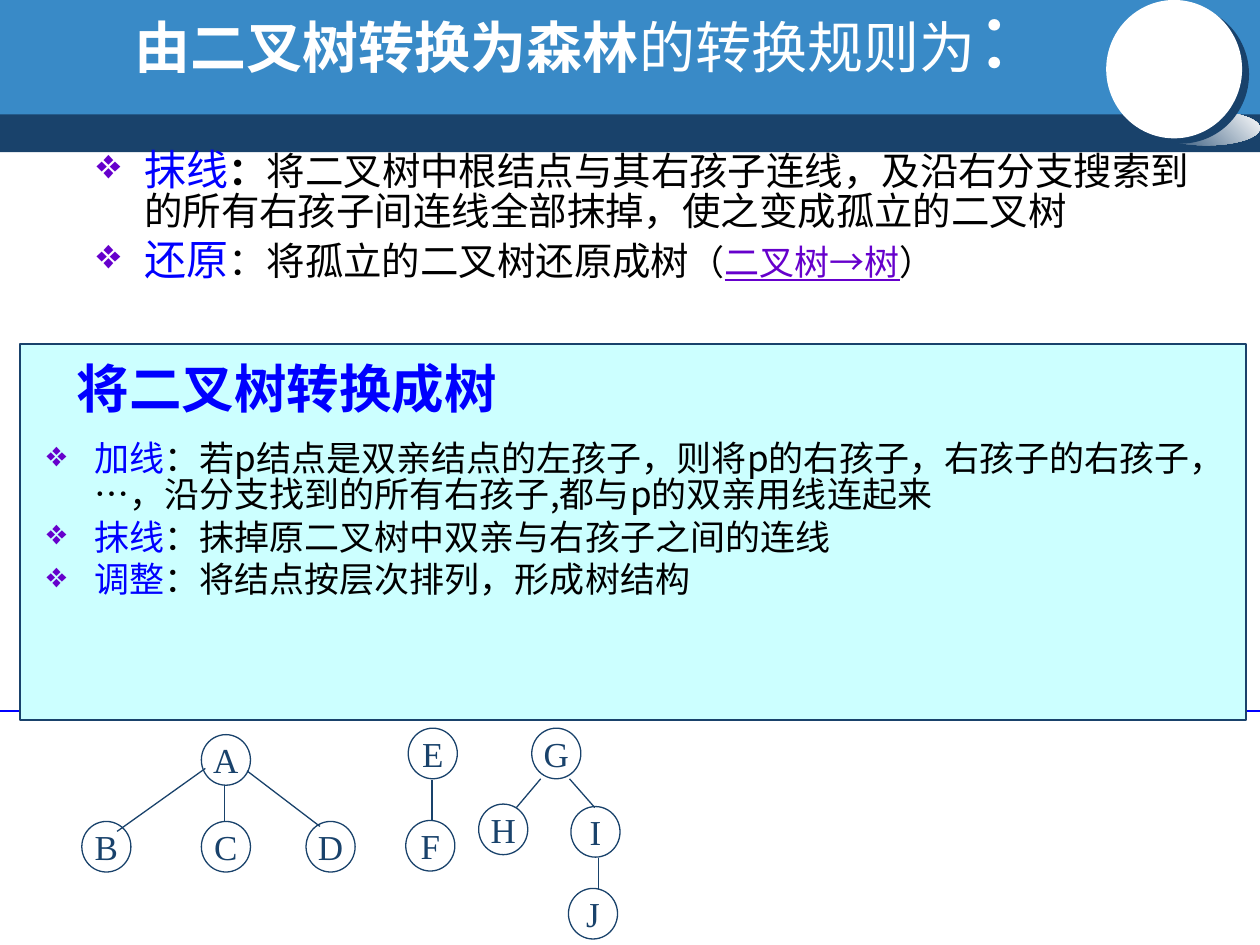
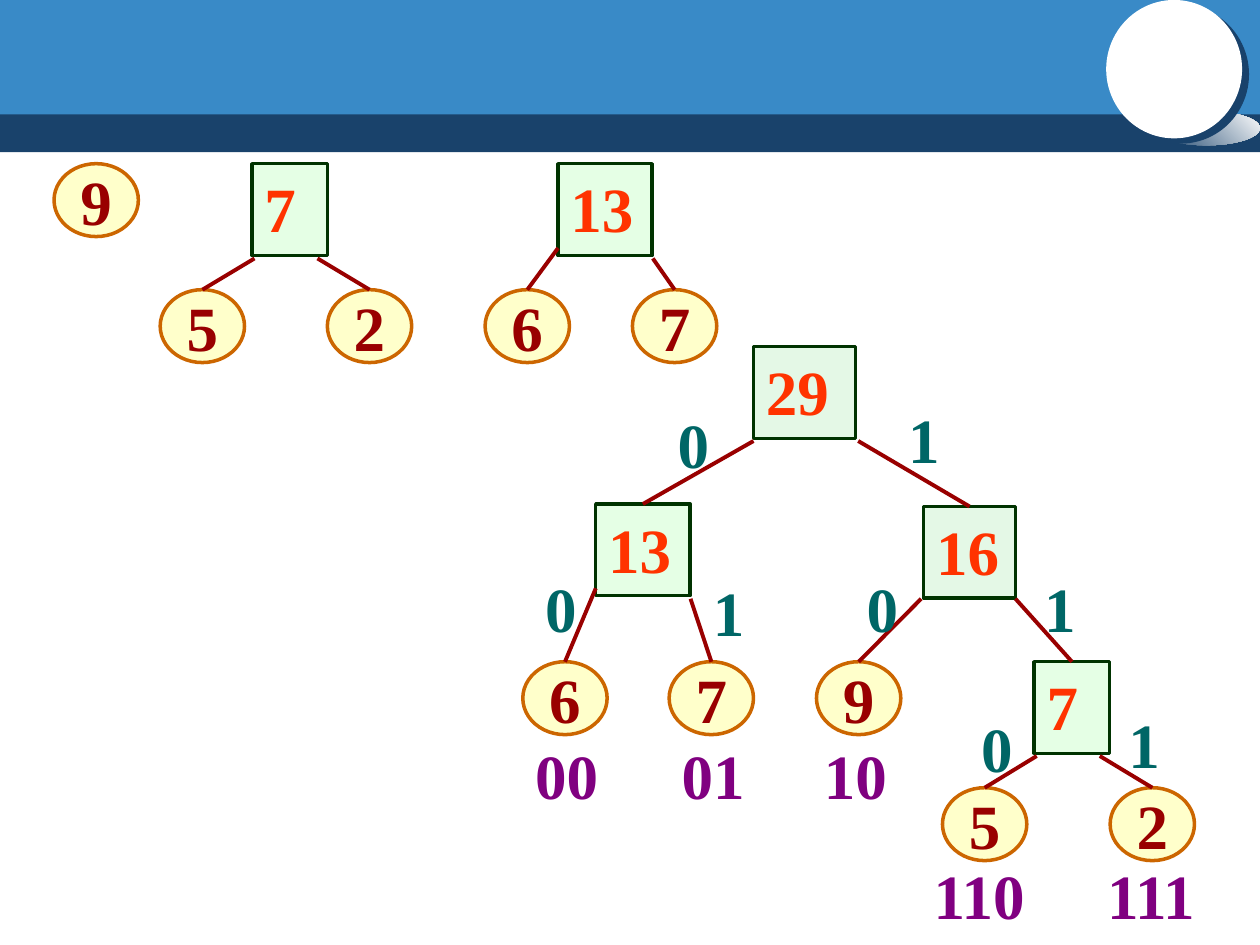
from dataclasses import dataclass

import lxml.etree
import pptx
import pptx.dml.color
import pptx.enum.shapes
import pptx.enum.text
import pptx.oxml.ns
import pptx.util

Cm, Pt = pptx.util.Cm, pptx.util.Pt
RGB = pptx.dml.color.RGBColor.from_string
qn = pptx.oxml.ns.qn
SHAPE = pptx.enum.shapes.MSO_SHAPE
STRAIGHT = pptx.enum.shapes.MSO_CONNECTOR.STRAIGHT
ANCHOR = pptx.enum.text.MSO_ANCHOR
ALIGN = pptx.enum.text.PP_ALIGN


@dataclass(frozen=True)
class Theme:
    navy: str = "19426B"
    band: str = "398AC7"
    white: str = "FFFFFF"
    black: str = "000000"
    blue: str = "0000FF"
    purple: str = "6600CC"
    panel: str = "CCFFFF"
    leaf_fill: str = "FFFF99"
    leaf_line: str = "CC6600"
    dark_red: str = "990000"
    inner_fill: str = "CCFFCC"
    sum_fill: str = "CAF2CE"
    inner_line: str = "003300"
    inner_text: str = "FF3300"
    bit: str = "006666"
    code: str = "800080"
    serif: str = "Times New Roman"
    cjk: str = "Noto Sans CJK SC"
    title_size: int = 32
    heading_size: int = 30
    node_size: int = 20
    number_size: int = 36


theme = Theme()


def add_figure(page, preset, place, fill=None, line=None, weight=0.75, alpha=None):
    figure = page.shapes.add_shape(preset, *map(Cm, place))
    figure.shadow.inherit = False
    if fill:
        figure.fill.solid()
        figure.fill.fore_color.rgb = RGB(fill)
    else:
        figure.fill.background()
    if alpha:
        color = figure._element.spPr.find(qn("a:solidFill"))[0]
        lxml.etree.SubElement(color, qn("a:alpha"), val=str(alpha * 1000))
    if line:
        figure.line.color.rgb = RGB(line)
        figure.line.width = Pt(weight)
    else:
        figure.line.fill.background()
    return figure


def add_edge(page, start, end, color, weight):
    edge = page.shapes.add_connector(STRAIGHT, *map(Cm, (*start, *end)))
    edge.line.color.rgb = RGB(color)
    edge.line.width = Pt(weight)
    lxml.etree.SubElement(edge._element.spPr, qn("a:effectLst"))
    return edge


deck = pptx.Presentation()
deck.slide_width, deck.slide_height = Cm(25.4), Cm(19.05)
master = deck.slide_master
for root in (deck.element, master.element):
    for east_asian in root.iter(qn("a:ea")):
        east_asian.set("typeface", theme.cjk)

rules_page = deck.slides.add_slide(deck.slide_layouts[5])
huffman_page = deck.slides.add_slide(deck.slide_layouts[6])

# Shared header: drawn once, then moved to the slide master
lower_band = add_figure(rules_page, SHAPE.RECTANGLE, (0, 2.21, 25.4, 0.86), theme.navy)
upper_band = add_figure(rules_page, SHAPE.RECTANGLE, (0, 0, 25.4, 2.31), theme.band)
glow = add_figure(rules_page, SHAPE.OVAL, (23.24, 2.24, 2.16, 0.69))
glow.fill.gradient()
glow.fill.gradient_angle = 45
for stop, color in zip(glow.fill.gradient_stops, (theme.navy, theme.white)):
    stop.color.rgb = RGB(color)
disc = add_figure(rules_page, SHAPE.OVAL, (22.3, 0, 2.74, 2.79), theme.white)
shadow = lxml.etree.SubElement(
    disc._element.spPr.find(qn("a:effectLst")), qn("a:outerShdw"),
    dist=str(Pt(5)), dir=str(37 * 60000), algn="ctr", rotWithShape="0")
lxml.etree.SubElement(shadow, qn("a:srgbClr"), val=theme.navy)
for order, part in enumerate((lower_band, upper_band, glow, disc)):
    part._element.nvSpPr.cNvPr.id = 100 + order
    master.shapes._spTree.insert(2 + order, part._element)

# Slide 1: title
title = rules_page.shapes.title
title.left, title.top, title.width, title.height = map(Cm, (2.46, -0.08, 19.02, 2.11))
title.text_frame.auto_size = pptx.enum.text.MSO_AUTO_SIZE.NONE
title.text_frame.word_wrap = False
title.text_frame.vertical_anchor = ANCHOR.TOP
para = title.text_frame.paragraphs[0]
para.alignment = ALIGN.LEFT
para.line_spacing = 0.9
para.font.name = theme.serif
para.font.color.rgb = RGB(theme.white)
for text, size, bold in (("由二叉树转换为森林", theme.title_size, True),
                         ("的转换规则为", theme.title_size, False), ("：", 44, False)):
    span = para.add_run()
    span.text = text
    span.font.size, span.font.bold = Pt(size), bold

# Slide 1: rule line and panel
add_edge(rules_page, (0, 14.33), (25.4, 14.33), theme.blue, 1)
add_figure(rules_page, SHAPE.RECTANGLE, (0.41, 6.93, 24.71, 7.59), theme.panel, theme.navy, 1)
heading = rules_page.shapes.add_textbox(*map(Cm, (0.3, 7.19, 10.01, 1.52))).text_frame
heading.word_wrap = True
heading.margin_left = Cm(1.25)
para = heading.paragraphs[0]
para.text = "将二叉树转换成树"
para.line_spacing = 0.9
para.font.name, para.font.size, para.font.bold = "Lato", Pt(theme.heading_size), True
para.font.color.rgb = RGB(theme.blue)

# Slide 1: bulleted rules; each span is text, size, colour, bold, underline, font
def_black, def_blue = theme.black, theme.blue
rule_boxes = (
    ((1.7, 2.92, 22.53, 5.38), "DejaVu Sans", 22, (
        (("抹线", 24, theme.blue), ("：", 22, theme.black, True),
         ("将二叉树中根结点与其右孩子连线，及沿右分支搜索到的所有右孩子间连线全部抹掉，使之变成孤立的二叉树",
          22, theme.black)),
        (("还原", 24, theme.blue), ("：将孤立的二叉树还原成树", 22, theme.black),
         ("（", 20, theme.black), ("二叉树→树", 20, theme.purple, None, True),
         ("）", 20, theme.black)))),
    ((0.69, 8.81, 23.62, 5.49), theme.cjk, 20, (
        (("加线", 20, theme.blue),
         ("：若p结点是双亲结点的左孩子，则将p的右孩子，右孩子的右孩子，", 20, theme.black),
         ("…", 20, theme.black, None, None, "Arial"),
         ("，沿分支找到的所有右孩子,都与p的双亲用线连起来", 20, theme.black)),
        (("抹线", 20, theme.blue), ("：抹掉原二叉树中双亲与右孩子之间的连线", 20, theme.black)),
        (("调整", 20, theme.blue), ("：将结点按层次排列，形成树结构", 20, theme.black)))),
)
for place, font, base_size, rules in rule_boxes:
    frame = rules_page.shapes.add_textbox(*map(Cm, place)).text_frame
    frame.word_wrap = True
    for order, spans in enumerate(rules):
        para = frame.add_paragraph() if order else frame.paragraphs[0]
        layout = para._p.get_or_add_pPr()
        layout.set("marL", str(Cm(0.96)))
        layout.set("indent", str(Cm(-0.96)))
        bullet_color = lxml.etree.SubElement(layout, qn("a:buClr"))
        lxml.etree.SubElement(bullet_color, qn("a:srgbClr"), val=theme.purple)
        lxml.etree.SubElement(layout, qn("a:buChar"), char="❖")
        para.line_spacing = 0.85
        if order:
            para.space_before = Pt(base_size * 0.2)
        para.font.name = font
        for text, size, color, *style in spans:
            bold, underline, own_font = style + [None] * (3 - len(style))
            span = para.add_run()
            span.text = text
            span.font.size, span.font.color.rgb = Pt(size), RGB(color)
            span.font.bold, span.font.underline = bold, underline
            span.font.name = own_font or font

# Slide 1: forest
forest_nodes = {
    "A": (4.06, 14.81), "B": (1.65, 16.56), "C": (4.06, 16.56), "D": (6.17, 16.56),
    "E": (8.23, 14.68), "F": (8.18, 16.54), "G": (10.72, 14.68), "H": (9.65, 16.21),
    "I": (11.51, 16.26), "J": (11.46, 17.91),
}
forest_edges = (
    ((4.52, 15.82), (4.52, 16.56)), ((4.14, 15.49), (2.36, 16.76)),
    ((4.98, 15.54), (6.45, 16.66)), ((8.71, 15.72), (8.71, 16.56)),
    ((10.9, 15.7), (10.41, 16.28)), ((11.48, 15.7), (11.99, 16.28)),
    ((12.07, 17.3), (12.07, 17.93)),
)
for letter, corner in forest_nodes.items():
    node = add_figure(rules_page, SHAPE.OVAL, (*corner, 0.99, 1.02), line=theme.navy)
    node.text_frame.word_wrap = False
    para = node.text_frame.paragraphs[0]
    para.text, para.alignment = letter, ALIGN.CENTER
    para.font.name, para.font.size = theme.serif, Pt(theme.node_size)
    para.font.color.rgb = RGB(theme.navy)
for start, end in forest_edges:
    add_edge(rules_page, start, end, theme.navy, 0.75)

# Slide 2: nodes by name; leaves are ovals, inner nodes are boxes with a width
leaves = {
    "lone 9": (1.09, 3.3), "upper 5": (3.23, 5.84), "upper 2": (6.6, 5.84),
    "upper 6": (9.78, 5.84), "upper 7": (12.75, 5.84),
    "lower 6": (10.54, 13.34), "lower 7": (13.49, 13.34), "lower 9": (16.46, 13.34),
    "lower 5": (19, 15.88), "lower 2": (22.38, 15.88),
}
inner_nodes = {
    "small 7": (5.08, 3.3, 1.52, theme.inner_fill),
    "small 13": (11.25, 3.3, 1.9, theme.inner_fill),
    "root 29": (15.19, 6.99, 2.06, theme.sum_fill),
    "left 13": (12.01, 10.16, 1.9, theme.inner_fill),
    "right 16": (18.62, 10.21, 1.85, theme.sum_fill),
    "deep 7": (20.85, 13.34, 1.52, theme.inner_fill),
}
nodes = {}
for name, corner in leaves.items():
    nodes[name] = add_figure(huffman_page, SHAPE.OVAL, (*corner, 1.7, 1.47),
                             theme.leaf_fill, theme.leaf_line, 2, 50)
for name, (left, top, width, fill) in inner_nodes.items():
    nodes[name] = add_figure(huffman_page, SHAPE.RECTANGLE, (left, top, width, 1.85),
                             fill, theme.inner_line, 2, 50)
for name, node in nodes.items():
    is_leaf = name in leaves
    node.text_frame.word_wrap = not is_leaf
    node.text_frame.vertical_anchor = ANCHOR.MIDDLE if is_leaf else ANCHOR.TOP
    para = node.text_frame.paragraphs[0]
    para.text = name.split()[1]
    para.alignment = ALIGN.CENTER if is_leaf else ALIGN.LEFT
    para.font.name, para.font.size, para.font.bold = theme.serif, Pt(theme.number_size), True
    para.font.color.rgb = RGB(theme.dark_red if is_leaf else theme.inner_text)

# Slide 2: edges run from a parent's lower corner to the top of the child
huffman_edges = (
    ((5.13, 5.21), "upper 5"), ((6.4, 5.21), "upper 2"),
    ((11.25, 5), "upper 6"), ((13.16, 5.21), "upper 7"),
    ((15.19, 8.89), "left 13"), ((17.3, 8.89), "right 16"),
    ((12.01, 11.86), "lower 6"), ((13.92, 12.07), "lower 7"),
    ((18.57, 12.07), "lower 9"), ((20.47, 12.07), "deep 7"),
    ((20.9, 15.24), "lower 5"), ((22.17, 15.24), "lower 2"),
)
for start, child in huffman_edges:
    edge = add_edge(huffman_page, start, start, theme.dark_red, 2.25)
    edge.end_connect(nodes[child], 0)

# Slide 2: branch bits and leaf codes
labels = (
    (theme.bit, 1.14, (
        ("0", 13.41, 8.05), ("0", 10.74, 11.35), ("0", 17.22, 11.35), ("0", 19.53, 14.17),
        ("1", 18.06, 7.95), ("1", 14.12, 11.43), ("1", 20.8, 11.35), ("1", 22.5, 14.1))),
    (theme.code, 1.78, (("00", 10.54, 14.73), ("01", 13.49, 14.73), ("10", 16.36, 14.73))),
    (theme.code, 2.41, (("110", 18.57, 17.15), ("111", 22.07, 17.15))),
)
for color, width, group in labels:
    for text, left, top in group:
        box = huffman_page.shapes.add_textbox(*map(Cm, (left, top, width, 1.78)))
        box.text_frame.word_wrap = False
        para = box.text_frame.paragraphs[0]
        para.text = text
        para.font.name, para.font.size, para.font.bold = theme.serif, Pt(theme.number_size), True
        para.font.color.rgb = RGB(color)

deck.save("out.pptx")
